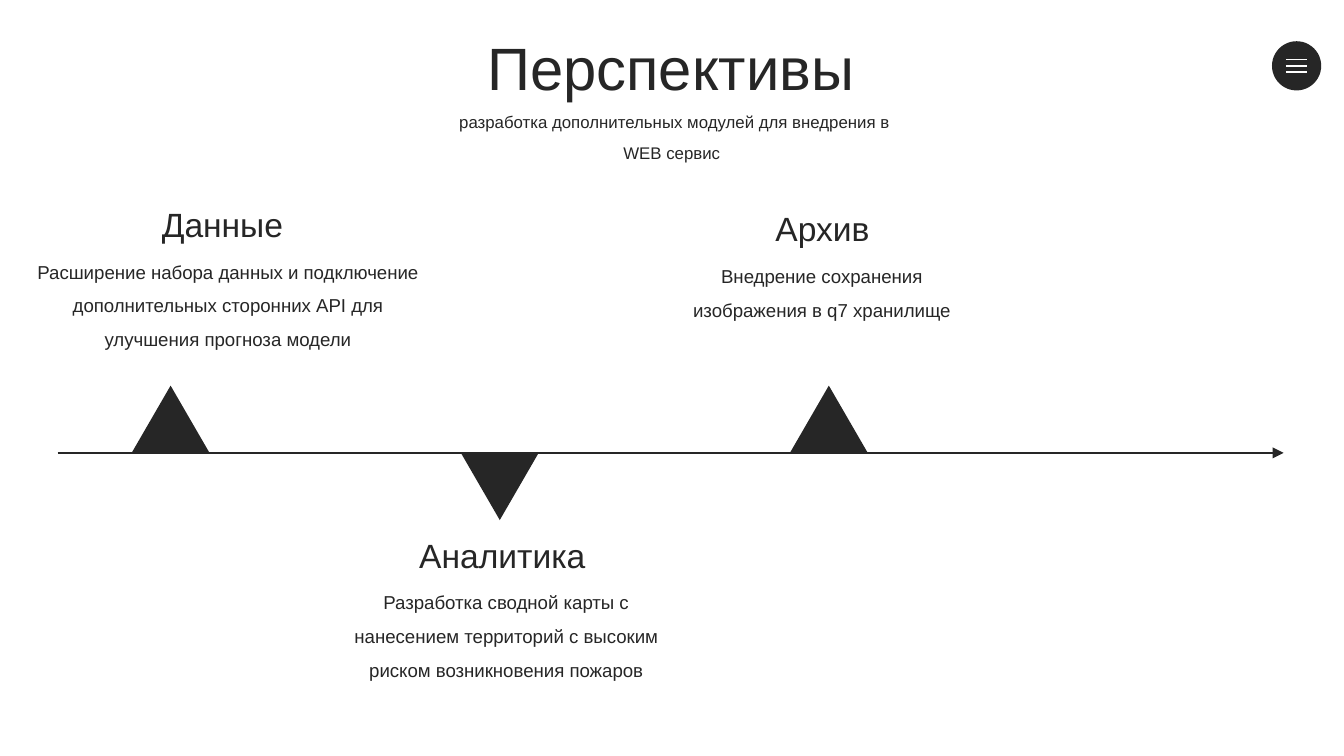
from pptx import Presentation
from pptx.dml.color import RGBColor
from pptx.enum.shapes import MSO_CONNECTOR as Connector, MSO_SHAPE as Shape
from pptx.enum.text import MSO_AUTO_SIZE as AutoSize, PP_ALIGN as Align
from pptx.oxml.ns import qn
from pptx.util import Cm, Pt
from lxml.etree import SubElement

DARK, WHITE = "262626", "FFFFFF"


def color(value):
    return RGBColor.from_string(value)


class TimelineSlide:
    """Holds the style and the slide being drawn, with lengths in centimetres."""

    font = "Arial"

    def __init__(self, slide):
        self.slide = slide
        self.slide.background.fill.solid()
        self.slide.background.fill.fore_color.rgb = color(WHITE)

    def text(self, text, left, top, width, height, size, spacing=1.0, wrap=True):
        box = self.slide.shapes.add_textbox(Cm(left), Cm(top), Cm(width), Cm(height))
        frame = box.text_frame
        frame.word_wrap = wrap
        frame.auto_size = AutoSize.SHAPE_TO_FIT_TEXT
        paragraph = frame.paragraphs[0]
        paragraph.text = text
        paragraph.alignment = Align.CENTER
        paragraph.line_spacing = spacing
        paragraph.font.name = self.font
        paragraph.font.size = Pt(size)
        paragraph.font.color.rgb = color(DARK)

    def shape(self, kind, left, top, width, height, rotation=0):
        shape = self.slide.shapes.add_shape(kind, Cm(left), Cm(top), Cm(width), Cm(height))
        shape.shadow.inherit = False
        shape.fill.solid()
        shape.fill.fore_color.rgb = color(DARK)
        shape.line.fill.background()
        shape.rotation = rotation

    def line(self, left, right, y, line_color, width, arrow=False):
        line = self.slide.shapes.add_connector(
            Connector.STRAIGHT, Cm(left), Cm(y), Cm(right), Cm(y))
        line.line.color.rgb = color(line_color)
        line.line.width = Pt(width)
        properties = line._element.spPr
        if arrow:
            SubElement(properties.find(qn("a:ln")), qn("a:tailEnd"), type="triangle")
        SubElement(properties, qn("a:effectLst"))

    def menu_button(self, left, top, size):
        self.shape(Shape.OVAL, left, top, size, size)
        for step in (-1, 0, 1):
            self.line(left + 0.26, left + size - 0.26, top + size / 2 + step * 0.12, WHITE, 1)

    def milestone(self, heading, heading_left, heading_top, heading_width,
                  body, body_left, body_width, body_lines):
        self.text(heading, heading_left, heading_top, heading_width, 1.02, 18, wrap=False)
        self.text(body, body_left, heading_top + 0.86, body_width,
                  0.25 + 0.64 * body_lines, 10, 1.5)


def main():
    presentation = Presentation()
    presentation.slide_width, presentation.slide_height = Cm(25.4), Cm(14.29)
    timeline = TimelineSlide(presentation.slides.add_slide(presentation.slide_layouts[6]))

    timeline.menu_button(24.04, 0.78, 0.93)
    timeline.text("Перспективы", 6.68, 0.46, 12.01, 1.6, 32)
    timeline.text("разработка дополнительных модулей для внедрения в WEB сервис ",
                  8.23, 1.8, 9.02, 1.4, 9, 1.5)

    axis_y, marker_width, marker_height = 8.56, 1.47, 1.27
    timeline.line(1.09, 24.26, axis_y, DARK, 0.75, arrow=True)
    milestones = [
        ("Данные ", 2.72, 3.73, 2.97,
         "Расширение набора данных и подключение дополнительных сторонних API "
         "для улучшения прогноза модели", 0.38, 7.85, 3),
        ("Аналитика ", 7.59, 9.98, 3.81,
         "Разработка сводной карты с нанесением территорий с высоким риском "
         "возникновения пожаров", 6.1, 6.93, 3),
        ("Архив", 14.4, 3.81, 2.29,
         "Внедрение сохранения изображения в q7 хранилище", 12.7, 5.66, 2),
    ]
    for index, milestone in enumerate(milestones):
        below = index % 2 == 1
        timeline.shape(Shape.ISOSCELES_TRIANGLE, 2.49 + index * 6.22,
                       axis_y if below else axis_y - marker_height,
                       marker_width, marker_height, 180 if below else 0)
        timeline.milestone(*milestone)

    presentation.save("out.pptx")


if __name__ == "__main__":
    main()
